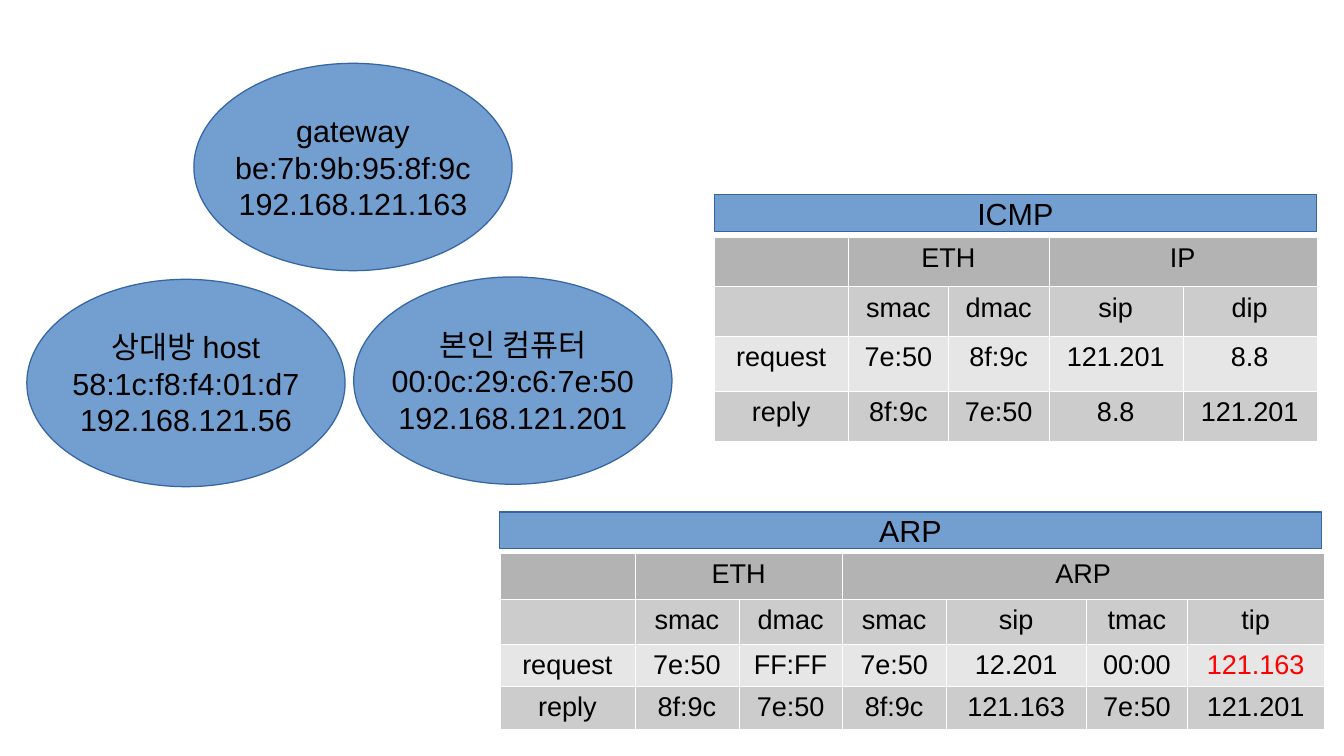
from dataclasses import dataclass

from lxml import etree
from pptx import Presentation
from pptx.dml.color import RGBColor
from pptx.enum.shapes import MSO_SHAPE
from pptx.enum.text import MSO_ANCHOR, PP_ALIGN
from pptx.oxml.ns import qn
from pptx.util import Cm, Pt

ELLIPSE, RECTANGLE = MSO_SHAPE.OVAL, MSO_SHAPE.RECTANGLE
CENTER, MIDDLE = PP_ALIGN.CENTER, MSO_ANCHOR.MIDDLE
BLANK_LAYOUT = 6

BLUE, DARK_BLUE = "729FCF", "3465A4"
BLACK, WHITE, RED = "000000", "FFFFFF", "FF0000"
ROW_FILLS = ("B3B3B3", "CCCCCC", "E6E6E6", "CCCCCC")
LABEL_SIZE, CELL_SIZE = 18, 16
BORDER_WIDTH = Pt(0.06)
TITLE_HEIGHT = 0.76
HOST_WIDTH, HOST_HEIGHT = 6.63, 4.32

FRAME_FORMAT = {
    "word_wrap": False,
    "vertical_anchor": MIDDLE,
    "margin_left": Cm(0.25),
    "margin_right": Cm(0.25),
    "margin_top": Cm(0.13),
    "margin_bottom": Cm(0.13),
}
TABLE_FORMAT = {"first_row": False, "horz_banding": False}


@dataclass
class Host:
    """A machine on the network; lengths in centimetres."""
    left: float
    top: float
    name: str
    mac: str
    ip: str


@dataclass
class Protocol:
    """A titled table of packet fields; lengths in centimetres."""
    title: str
    left: float
    title_top: float
    title_width: float
    table_top: float
    columns: tuple[float, ...]
    row_heights: tuple[float, ...]
    spans: tuple[tuple[int, int], ...]
    rows: tuple[tuple[str, ...], ...]
    highlight: tuple[int, int] | None = None


HOSTS = (
    Host(4.04, 1.32, "gateway", "be:7b:9b:95:8f:9c", "192.168.121.163"),
    Host(0.56, 5.82, "상대방 host", "58:1c:f8:f4:01:d7", "192.168.121.56"),
    Host(7.37, 5.77, "본인 컴퓨터", "00:0c:29:c6:7e:50", "192.168.121.201"),
)

PROTOCOLS = (
    Protocol(
        "ICMP", 14.88, 4.06, 12.55, 4.93,
        columns=(2.79, 2.09, 2.09, 2.79, 2.79),
        row_heights=(1.04, 1.04, 1.14, 1.04),
        spans=((1, 2), (3, 4)),
        rows=(
            ("", "ETH", "", "IP", ""),
            ("", "smac", "dmac", "sip", "dip"),
            ("request", "7e:50", "8f:9c", "121.201", "8.8"),
            ("reply", "8f:9c", "7e:50", "8.8", "121.201"),
        ),
    ),
    Protocol(
        "ARP", 10.41, 10.67, 17.12, 11.53,
        columns=(2.82, 2.16, 2.16, 2.16, 2.92, 2.11, 2.84),
        row_heights=(0.88,) * 4,
        spans=((1, 2), (3, 6)),
        rows=(
            ("", "ETH", "", "ARP", "", "", ""),
            ("", "smac", "dmac", "smac", "sip", "tmac", "tip"),
            ("request", "7e:50", "FF:FF", "7e:50", "12.201", "00:00", "121.163"),
            ("reply", "8f:9c", "7e:50", "8f:9c", "121.163", "7e:50", "121.201"),
        ),
        highlight=(2, 6),
    ),
)


def rgb(value: str) -> RGBColor:
    """Turn a hex string into a colour."""
    return RGBColor.from_string(value)


def apply_format(target, values: dict) -> None:
    """Set every attribute named in values on the target."""
    for name, value in values.items():
        setattr(target, name, value)


def write_line(paragraph, text: str, size: int, color: str = BLACK) -> None:
    """Write one centred line of text."""
    paragraph.alignment = CENTER
    run = paragraph.add_run()
    run.text = text
    apply_format(run.font, {"name": "Arial", "size": Pt(size)})
    run.font.color.rgb = rgb(color)


def add_label(slide, kind, left: float, top: float, width: float,
              height: float, lines: tuple[str, ...]) -> None:
    """Add a blue shape with centred lines of text."""
    label = slide.shapes.add_shape(kind, Cm(left), Cm(top), Cm(width), Cm(height))
    label.shadow.inherit = False
    label.fill.solid()
    label.fill.fore_color.rgb = rgb(BLUE)
    label.line.color.rgb = rgb(DARK_BLUE)
    label.line.width = Pt(0.75)
    frame = label.text_frame
    apply_format(frame, FRAME_FORMAT)
    for index, line in enumerate(lines):
        paragraph = frame.add_paragraph() if index else frame.paragraphs[0]
        write_line(paragraph, line, LABEL_SIZE)


def style_cell(cell, fill: str) -> None:
    """Give a cell thin white borders and a solid fill."""
    properties = cell._tc.get_or_add_tcPr()
    for side in ("a:lnL", "a:lnR", "a:lnT", "a:lnB"):
        border = etree.SubElement(properties, qn(side), w=str(BORDER_WIDTH))
        solid = etree.SubElement(border, qn("a:solidFill"))
        etree.SubElement(solid, qn("a:srgbClr"), val=WHITE)
    cell.fill.solid()
    cell.fill.fore_color.rgb = rgb(fill)


def write_cell(cell, text: str, color: str) -> None:
    """Fill in a cell, keeping the text size in an empty one."""
    paragraph = cell.text_frame.paragraphs[0]
    if text:
        write_line(paragraph, text, CELL_SIZE, color)
    else:
        etree.SubElement(paragraph._p, qn("a:endParaRPr"), sz=str(CELL_SIZE * 100))


def add_protocol(slide, protocol: Protocol) -> None:
    """Add the title bar and the field table of a protocol."""
    add_label(slide, RECTANGLE, protocol.left, protocol.title_top,
              protocol.title_width, TITLE_HEIGHT, (protocol.title,))
    table = slide.shapes.add_table(
        len(protocol.rows), len(protocol.columns),
        Cm(protocol.left), Cm(protocol.table_top),
        Cm(sum(protocol.columns)), Cm(sum(protocol.row_heights))).table
    apply_format(table, TABLE_FORMAT)
    for column, width in zip(table.columns, protocol.columns):
        column.width = Cm(width)
    for row, height in zip(table.rows, protocol.row_heights):
        row.height = Cm(height)
    for first, last in protocol.spans:
        table.cell(0, first).merge(table.cell(0, last))
    for row_index, (texts, fill) in enumerate(zip(protocol.rows, ROW_FILLS)):
        for column_index, text in enumerate(texts):
            cell = table.cell(row_index, column_index)
            style_cell(cell, fill)
            marked = (row_index, column_index) == protocol.highlight
            write_cell(cell, text, RED if marked else BLACK)


def main() -> None:
    """Build the slide and save it."""
    deck = Presentation()
    deck.slide_width, deck.slide_height = Cm(28), Cm(15.75)
    slide = deck.slides.add_slide(deck.slide_layouts[BLANK_LAYOUT])
    for protocol in PROTOCOLS:
        add_protocol(slide, protocol)
    for host in HOSTS:
        add_label(slide, ELLIPSE, host.left, host.top, HOST_WIDTH, HOST_HEIGHT,
                  (host.name, host.mac, host.ip))
    deck.save("out.pptx")


main()
